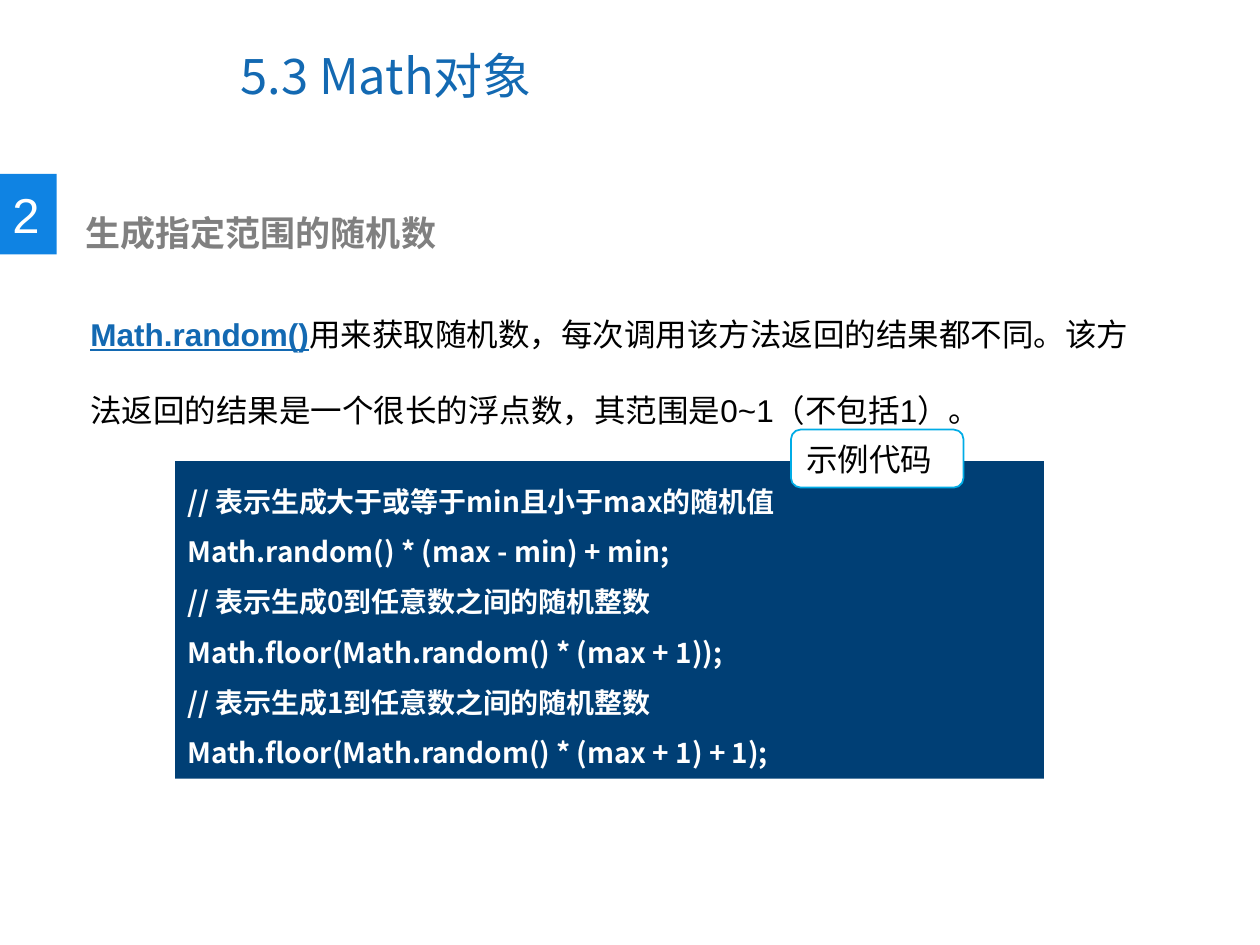
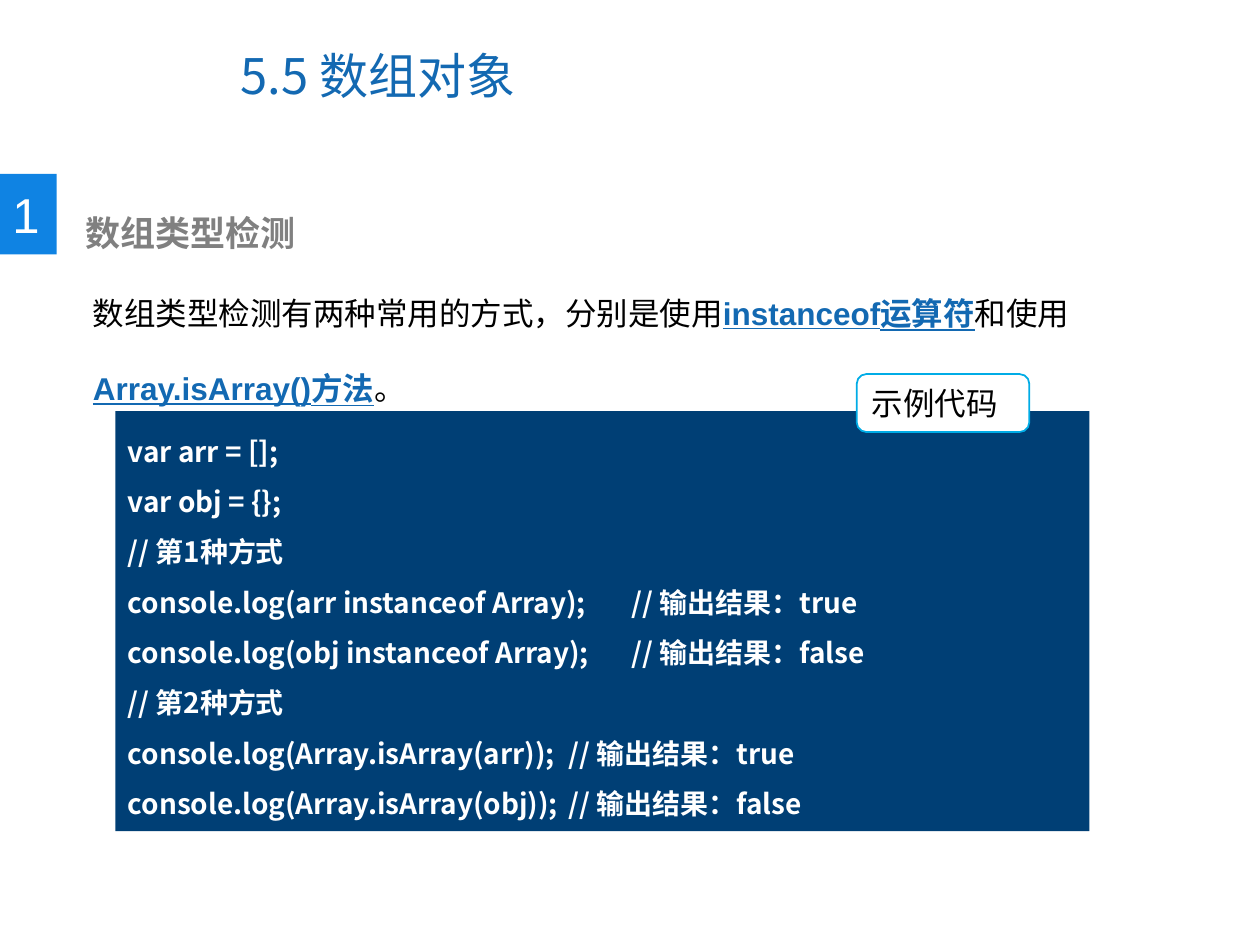
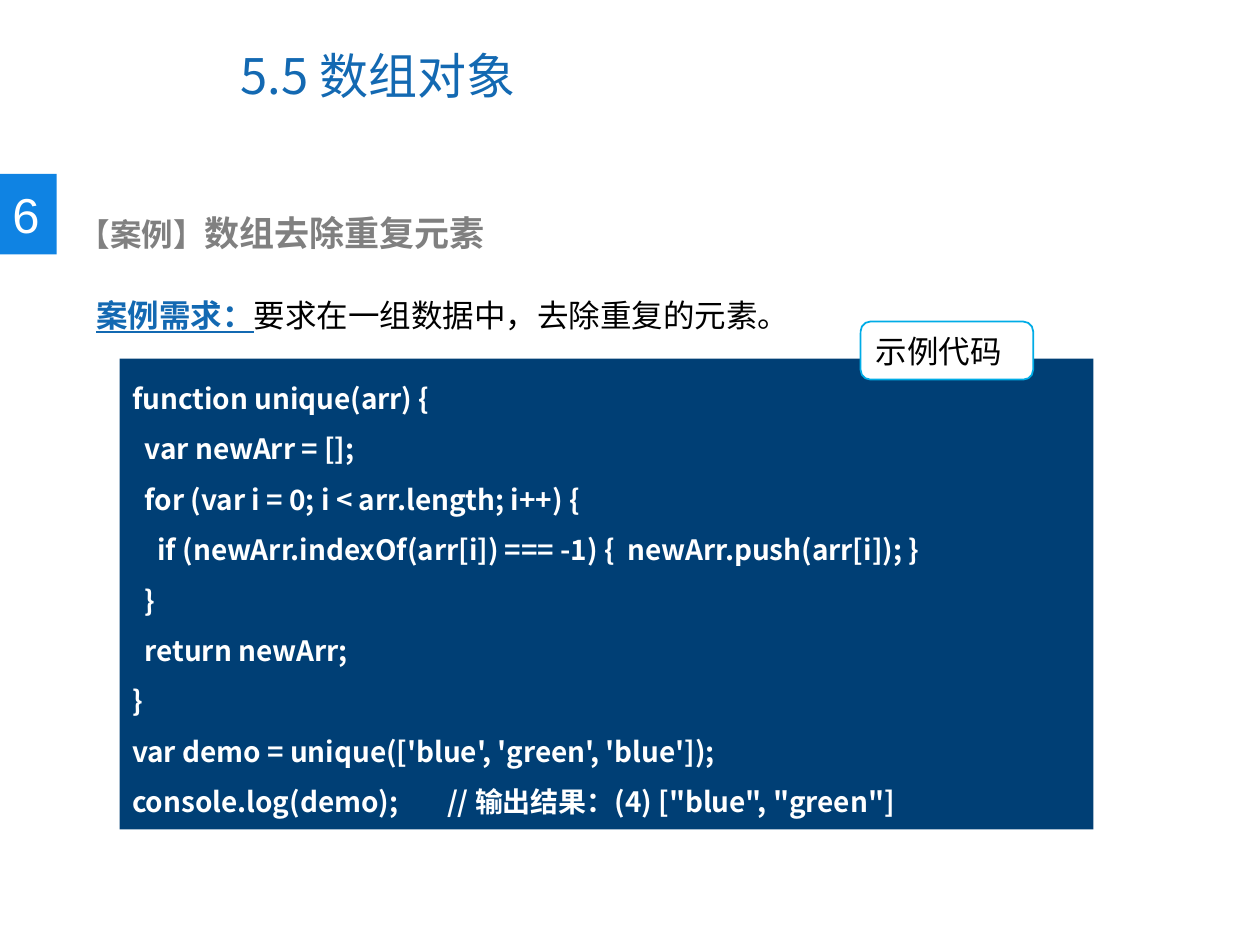
from dataclasses import dataclass

from lxml.etree import Element
from pptx import Presentation
from pptx.dml.color import RGBColor
from pptx.enum.shapes import MSO_SHAPE
from pptx.enum.text import MSO_ANCHOR, PP_ALIGN
from pptx.oxml.ns import qn
from pptx.util import Pt


@dataclass(frozen=True)
class Theme:
    accent: str = "1369B2"
    marker: str = "0F83E3"
    code_fill: str = "003F75"
    badge_line: str = "00ACE6"
    heading: str = "808080"
    text: str = "000000"
    white: str = "FFFFFF"
    latin: str = "Arial"
    cjk: str = "Noto Sans CJK SC"
    title_size: int = 28
    heading_size: int = 20
    body_size: int = 18
    code_size: int = 16


THEME = Theme()


def style(font, size, color, name=THEME.latin, bold=False, underline=False):
    font.size = Pt(size)
    font.color.rgb = RGBColor.from_string(color)
    font.name = name
    font.bold = bold
    font.underline = underline


def add_box(slide, bounds, fill=None, preset=MSO_SHAPE.RECTANGLE, anchor=MSO_ANCHOR.TOP):
    """Add a filled shape, or a plain text box when there is no fill."""
    left, top, width, height = (Pt(value) for value in bounds)
    if fill is None:
        box = slide.shapes.add_textbox(left, top, width, height)
    else:
        box = slide.shapes.add_shape(preset, left, top, width, height)
        box.shadow.inherit = False
        box.fill.solid()
        box.fill.fore_color.rgb = RGBColor.from_string(fill)
        box.line.fill.background()
    box.text_frame.word_wrap = True
    box.text_frame.vertical_anchor = anchor
    return box


# Heading parts are (text, size); explanation parts are (text, emphasised).
TOPICS = [
    {
        "title": "5.3 Math对象",
        "number": "2",
        "heading": [("生成指定范围的随机数", THEME.heading_size)],
        "heading_indent": 8,
        "explanation": [
            ("Math.random()", True),
            ("用来获取随机数，每次调用该方法返回的结果都不同。该方法返回的结果是一个很长的浮点数，"
             "其范围是0~1（不包括1）。", False),
        ],
        "explanation_at": (44.6, 154.8, 622.8, 94.3),
        "code": """// 表示生成大于或等于min且小于max的随机值
Math.random() * (max - min) + min;
// 表示生成0到任意数之间的随机整数
Math.floor(Math.random() * (max + 1));
// 表示生成1到任意数之间的随机整数
Math.floor(Math.random() * (max + 1) + 1);""",
        "code_at": (100, 263.5, 496.5, 181.5),
        "badge_at": (452, 245.5),
    },
    {
        "title": "5.5 数组对象",
        "number": "1",
        "heading": [("数组类型检测", THEME.heading_size)],
        "heading_indent": 8,
        "explanation": [
            ("数组类型检测有两种常用的方式，分别是使用", False),
            ("instanceof运算符", True),
            ("和使用", False),
            ("Array.isArray()方法", True),
            ("。", False),
        ],
        "explanation_at": (46, 142.6, 597, 94.3),
        "code": """var arr = [];
var obj = {};
// 第1种方式
console.log(arr instanceof Array);\t// 输出结果：true
console.log(obj instanceof Array);\t// 输出结果：false
// 第2种方式
console.log(Array.isArray(arr));\t// 输出结果：true
console.log(Array.isArray(obj));\t// 输出结果：false""",
        "code_at": (66, 235, 556.5, 240),
        "badge_at": (489.6, 213.8),
    },
    {
        "title": "5.5 数组对象",
        "number": "6",
        "heading": [("【案例】", THEME.body_size), ("数组去除重复元素", THEME.heading_size)],
        "heading_indent": 4,
        "explanation": [
            ("案例需求：", True),
            ("要求在一组数据中，去除重复的元素。", False),
        ],
        "explanation_at": (48, 144, 635, 51),
        "code": """function unique(arr) {
  var newArr = [];
  for (var i = 0; i < arr.length; i++) {
    if (newArr.indexOf(arr[i]) === -1) {  newArr.push(arr[i]); }
  }
  return newArr;
}
var demo = unique(['blue', 'green', 'blue']);
console.log(demo);\t// 输出结果：(4) ["blue", "green"]""",
        "code_at": (68.4, 205, 556.5, 269),
        "badge_at": (491.8, 183.8),
    },
]

deck = Presentation()
deck.slide_width, deck.slide_height = Pt(720), Pt(540)

for topic in TOPICS:
    slide = deck.slides.add_slide(deck.slide_layouts[6])

    title = add_box(slide, (130.3, 12.2, 371.5, 61.2), anchor=MSO_ANCHOR.MIDDLE)
    title.text_frame.text = topic["title"]
    style(title.text_frame.paragraphs[0].font, THEME.title_size, THEME.accent, THEME.cjk)

    add_box(slide, (0, 99.4, 32.4, 46), THEME.marker)
    number = add_box(slide, (0, 102.2, 30.2, 41))
    number.text_frame.word_wrap = False
    number.text_frame.text = topic["number"]
    style(number.text_frame.paragraphs[0].font, THEME.title_size, THEME.white)

    heading = add_box(slide, (33.8 + topic["heading_indent"], 117.4, 370, 31.7))
    for text, size in topic["heading"]:
        run = heading.text_frame.paragraphs[0].add_run()
        run.text = text
        style(run.font, size, THEME.heading, bold=True)

    explanation = add_box(slide, topic["explanation_at"]).text_frame.paragraphs[0]
    explanation.line_spacing = 2.0
    for text, emphasised in topic["explanation"]:
        run = explanation.add_run()
        run.text = text
        color = THEME.accent if emphasised else THEME.text
        style(run.font, THEME.body_size, color, bold=emphasised, underline=emphasised)

    code = add_box(slide, topic["code_at"], THEME.code_fill)
    code.text_frame.text = topic["code"]
    for line in code.text_frame.paragraphs:
        line.alignment = PP_ALIGN.LEFT
        line.line_spacing = 1.5
        style(line.font, THEME.code_size, THEME.white, THEME.cjk, bold=True)

    badge = add_box(slide, (*topic["badge_at"], 98.6, 33.1), THEME.white,
                    MSO_SHAPE.ROUNDED_RECTANGLE, MSO_ANCHOR.MIDDLE)
    badge.line.color.rgb = RGBColor.from_string(THEME.badge_line)
    badge.line.width = Pt(1)
    badge.text_frame.text = "示例代码"
    label = badge.text_frame.paragraphs[0]
    label.alignment = PP_ALIGN.LEFT
    style(label.font, THEME.body_size, THEME.text)

    # Chinese characters take the East Asian font beside each Latin one.
    for latin in list(slide.element.iter(qn("a:latin"))):
        latin.addnext(Element(qn("a:ea"), typeface=THEME.cjk))

deck.save("out.pptx")
